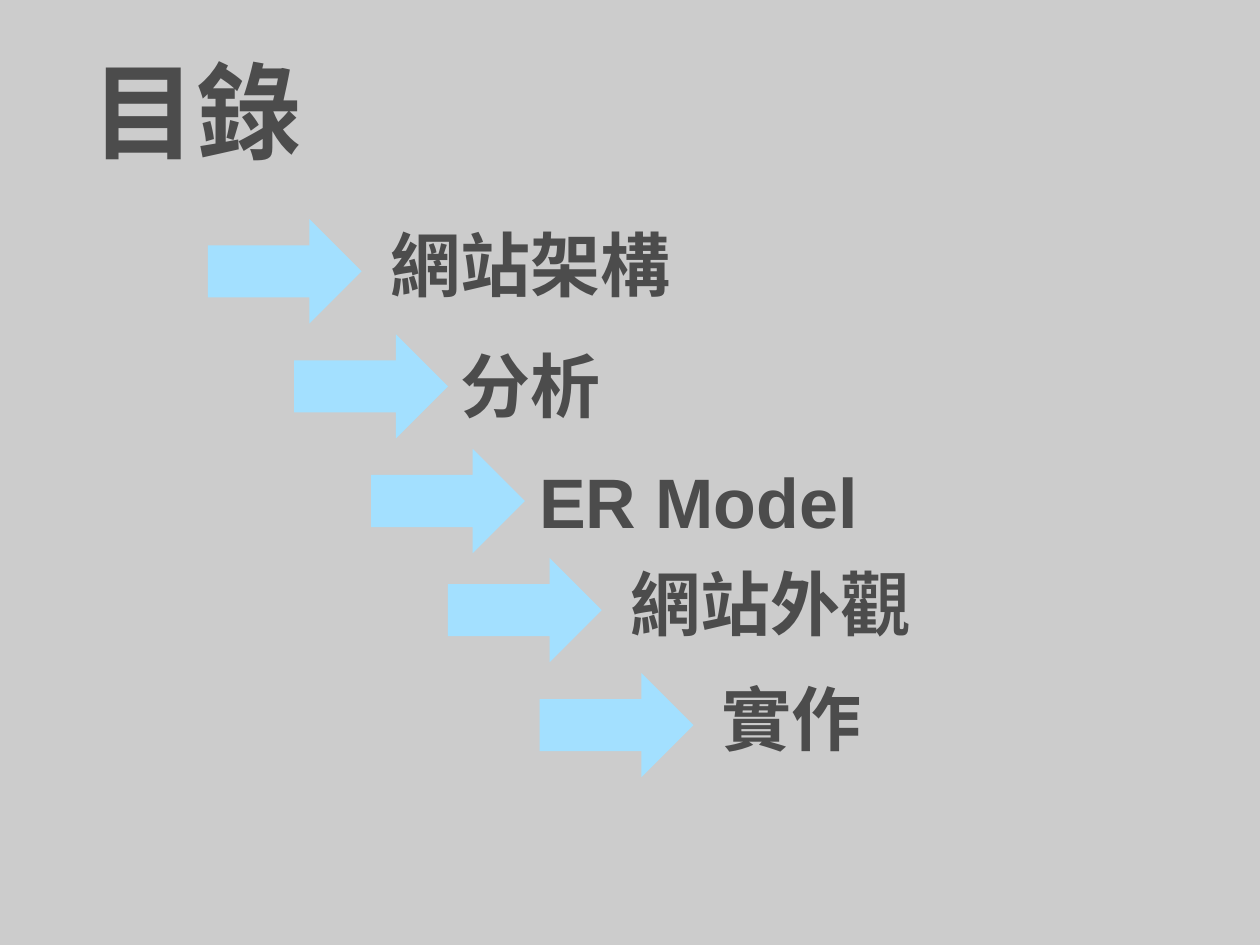
from lxml import etree
from pptx import Presentation
from pptx import util as u
from pptx.dml.color import RGBColor
from pptx.enum import shapes, text
from pptx.oxml.ns import qn


def color(fill, value):
    fill.solid()
    fill.fore_color.rgb = RGBColor.from_string(value)


def add_label(s, words, left, top, height, size):
    tb = s.shapes.add_textbox(u.Cm(left), u.Cm(top), u.Cm(12.07), u.Cm(height))
    tf = tb.text_frame
    tf.word_wrap = True
    tf.auto_size = text.MSO_AUTO_SIZE.SHAPE_TO_FIT_TEXT
    p = tf.paragraphs[0]
    p.text = words
    # Space before as a share of the line: 50 %
    before = etree.SubElement(p._p.get_or_add_pPr(), qn("a:spcBef"))
    etree.SubElement(before, qn("a:spcPct")).set("val", "50000")
    r = p.runs[0]
    r.font.name = "Arial"
    r.font.size = u.Pt(size)
    r.font.bold = True
    color(r.font.fill, "4C4C4C")


prs = Presentation()
prs.slide_width, prs.slide_height = u.Cm(25.4), u.Cm(19.05)
s = prs.slides.add_slide(prs.slide_layouts[6])
color(s.background.fill, "CCCCCC")

# Title
add_label(s, "目錄", 1.6, 0.81, 2.82, 60)

# Contents: words, arrow left and top, label left and top
entries = [
    ("網站架構", 4.19, 4.42, 7.62, 4.34),
    ("分析", 5.93, 6.74, 9.04, 6.78),
    ("ER Model", 7.48, 9.05, 10.62, 9.12),
    ("網站外觀", 9.03, 11.25, 12.47, 11.18),
    ("實作", 10.88, 13.57, 14.3, 13.49),
]
for words, arrow_left, arrow_top, left, top in entries:
    sp = s.shapes.add_shape(shapes.MSO_SHAPE.RIGHT_ARROW, u.Cm(arrow_left),
                            u.Cm(arrow_top), u.Cm(3.1), u.Cm(2.1))
    sp.shadow.inherit = False
    color(sp.fill, "A3E0FF")
    sp.line.fill.background()
    add_label(s, words, left, top, 1.96, 40)

prs.save("out.pptx")
